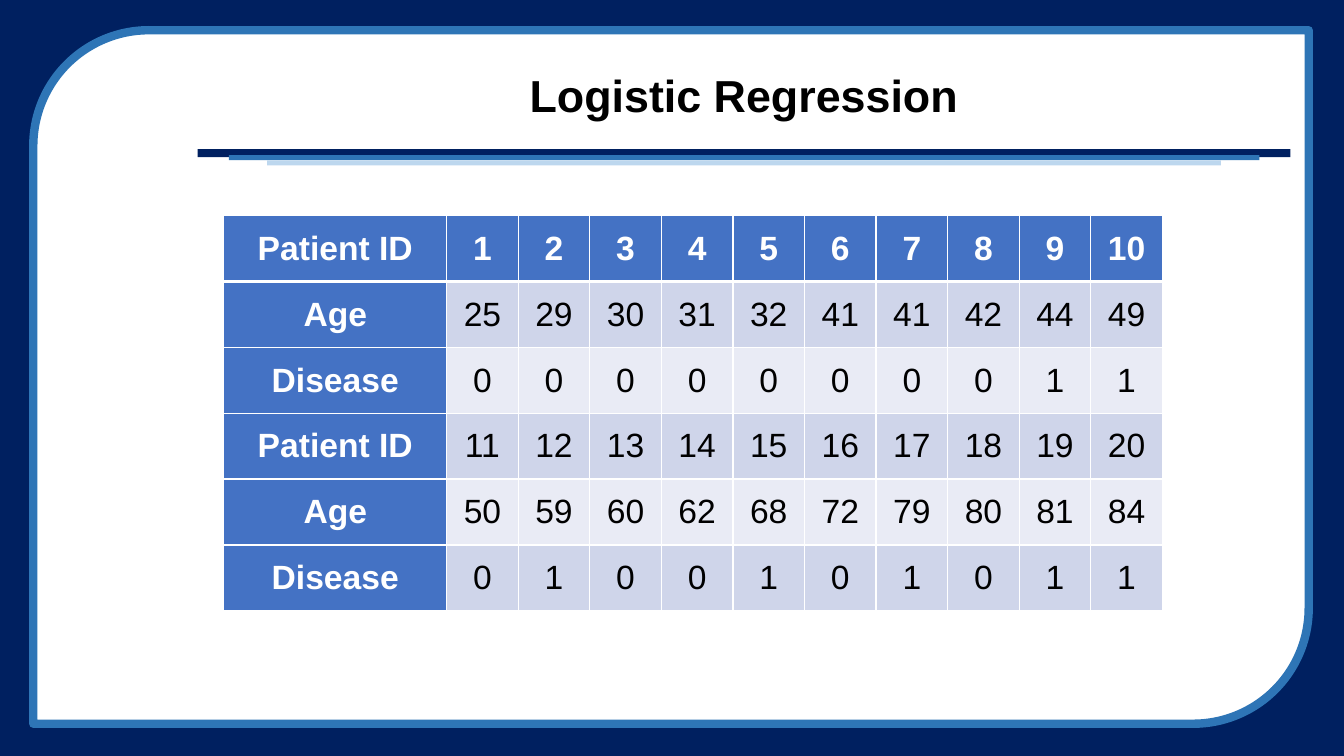
from lxml.etree import SubElement
from pptx import Presentation
from pptx.dml.color import RGBColor
from pptx.enum.shapes import MSO_SHAPE
from pptx.enum.text import MSO_ANCHOR, PP_ALIGN
from pptx.oxml.ns import qn
from pptx.util import Inches, Pt

NAVY = RGBColor(0x00, 0x20, 0x60)
BLUE = RGBColor(0x2E, 0x75, 0xB6)
PALE_BLUE = RGBColor(0xBD, 0xD7, 0xEE)
HEADER_BLUE = RGBColor(0x44, 0x72, 0xC4)
BANDS = (RGBColor(0xCF, 0xD5, 0xEA), RGBColor(0xE9, 0xEB, 0xF5))
WHITE = RGBColor(0xFF, 0xFF, 0xFF)
BLACK = RGBColor(0x00, 0x00, 0x00)

SLIDE_WIDTH, SLIDE_HEIGHT = 13.33, 7.5
LABEL_WIDTH, VALUE_WIDTH = 2.21, 0.71

PATIENTS = [
    ["Patient ID", *range(1, 11)],
    ["Age", 25, 29, 30, 31, 32, 41, 41, 42, 44, 49],
    ["Disease", 0, 0, 0, 0, 0, 0, 0, 0, 1, 1],
    ["Patient ID", *range(11, 21)],
    ["Age", 50, 59, 60, 62, 68, 72, 79, 80, 81, 84],
    ["Disease", 0, 1, 0, 0, 1, 0, 1, 0, 1, 1],
]


def write_text(text_frame, text, size, color, bold, line_spacing=1.0):
    paragraph = text_frame.paragraphs[0]
    paragraph.alignment = PP_ALIGN.CENTER
    paragraph.line_spacing = line_spacing
    run = paragraph.add_run()
    run.text = text
    run.font.name = "Arial"
    run.font.size = Pt(size)
    run.font.bold = bold
    run.font.color.rgb = color


def add_panel(shapes, box, fill, preset=MSO_SHAPE.RECTANGLE, line=None, line_width=0):
    shape = shapes.add_shape(preset, *map(Inches, box))
    shape.shadow.inherit = False
    shape.fill.solid()
    shape.fill.fore_color.rgb = fill
    if line is None:
        shape.line.fill.background()
    else:
        shape.line.color.rgb = line
        shape.line.width = Pt(line_width)
    return shape


def add_frame(slide, box):
    """Navy backdrop with a white panel rounded at two opposite corners."""
    left, top, width, height = box
    add_panel(slide.shapes, box, NAVY)
    panel_box = (left + 0.33, top + 0.3, width - 0.68, height - 0.62)
    add_panel(slide.shapes, panel_box, WHITE, MSO_SHAPE.ROUND_2_DIAG_RECTANGLE, BLUE, 6)


def add_title(slide, box, title):
    """Title text above three stacked bars, each one narrower."""
    left, top, width, height = box
    bars = slide.shapes.add_group_shape()
    for inset, drop, thickness, color in (
        (0, 0.02, 0.08, NAVY),
        (0.31, 0.08, 0.05, BLUE),
        (0.69, 0.13, 0.05, PALE_BLUE),
    ):
        bar_box = (left + inset, top + height + drop, width - 2 * inset, thickness)
        add_panel(bars.shapes, bar_box, color)
    text_frame = slide.shapes.add_textbox(*map(Inches, box)).text_frame
    text_frame.word_wrap = True
    text_frame.vertical_anchor = MSO_ANCHOR.MIDDLE
    write_text(text_frame, title, 32, BLACK, True, line_spacing=0.9)


def set_borders(cell, **widths):
    """Draw white cell borders; must come before the cell's fill."""
    properties = cell._tc.get_or_add_tcPr()
    for side in "LRTB":
        width = Pt(widths.get(side, 1))
        line = SubElement(properties, qn(f"a:ln{side}"), w=str(width))
        fill = SubElement(line, qn("a:solidFill"))
        SubElement(fill, qn("a:srgbClr"), val=str(WHITE))


def add_patient_table(slide, box, rows):
    frame = slide.shapes.add_table(len(rows), len(rows[0]), *map(Inches, box))
    table = frame.table
    table.first_col = True
    for index, column in enumerate(table.columns):
        column.width = Inches(VALUE_WIDTH if index else LABEL_WIDTH)
    for row_index, values in enumerate(rows):
        table.rows[row_index].height = Inches(box[3] / len(rows))
        for column_index, value in enumerate(values):
            cell = table.cell(row_index, column_index)
            is_header = row_index == 0 or column_index == 0
            set_borders(
                cell, T=3 if row_index == 1 else 1, B=3 if row_index == 0 else 1
            )
            cell.fill.solid()
            cell.fill.fore_color.rgb = (
                HEADER_BLUE if is_header else BANDS[(row_index - 1) % 2]
            )
            cell.vertical_anchor = MSO_ANCHOR.MIDDLE
            cell.margin_left = cell.margin_right = Inches(0.07)
            cell.margin_top = cell.margin_bottom = 0
            color = WHITE if is_header else BLACK
            write_text(cell.text_frame, str(value), 24, color, is_header)


def main():
    presentation = Presentation()
    presentation.slide_width = Inches(SLIDE_WIDTH)
    presentation.slide_height = Inches(SLIDE_HEIGHT)
    slide = presentation.slides.add_slide(presentation.slide_layouts[6])
    add_frame(slide, (0, 0, SLIDE_WIDTH, SLIDE_HEIGHT))
    add_title(slide, (1.96, 0.49, 10.84, 0.97), "Logistic Regression")
    table_width = LABEL_WIDTH + 10 * VALUE_WIDTH
    add_patient_table(slide, (2.22, 2.14, table_width, 3.92), PATIENTS)
    presentation.save("out.pptx")


if __name__ == "__main__":
    main()
